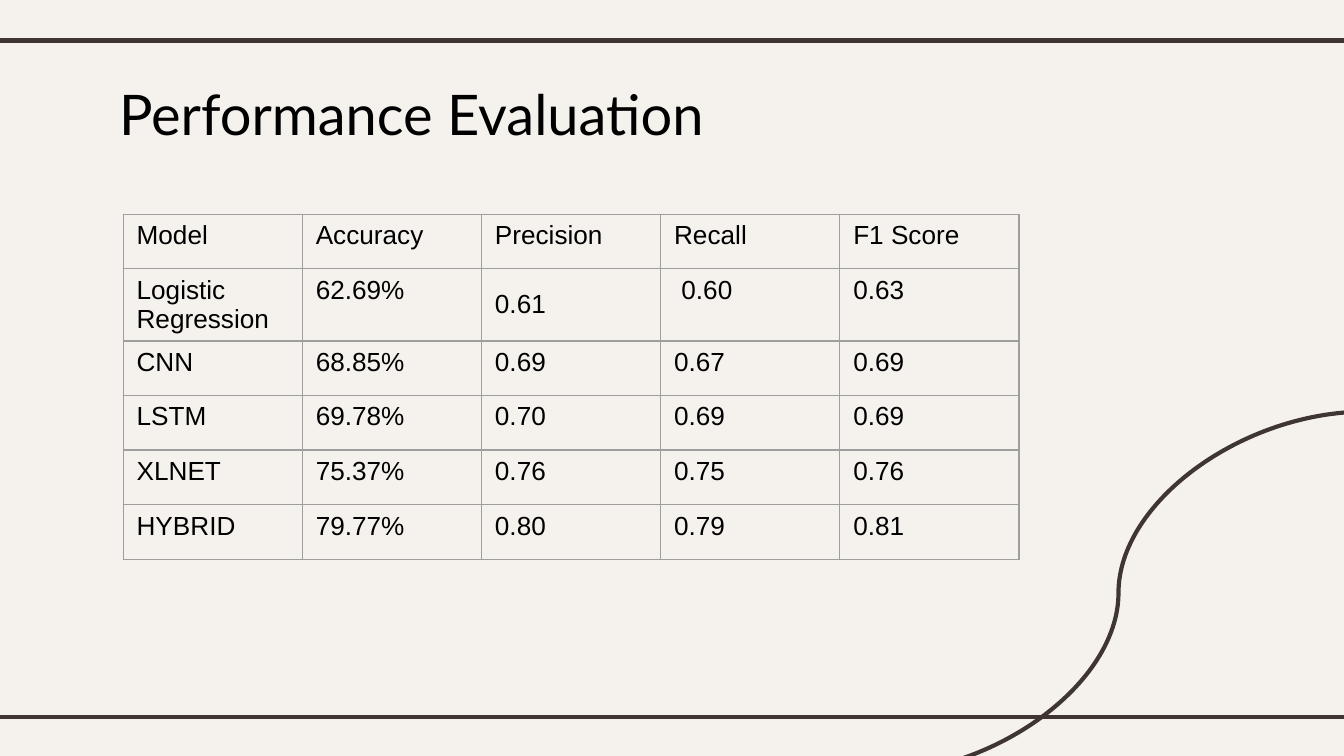
from dataclasses import dataclass

from lxml import etree
from pptx import Presentation
from pptx.dml.color import RGBColor
from pptx.enum.shapes import MSO_CONNECTOR
from pptx.enum.text import MSO_ANCHOR, MSO_AUTO_SIZE, PP_ALIGN
from pptx.oxml.ns import qn
from pptx.util import Emu, Pt

STRAIGHT, CURVE = MSO_CONNECTOR.STRAIGHT, MSO_CONNECTOR.CURVE
TOP, MIDDLE = MSO_ANCHOR.TOP, MSO_ANCHOR.MIDDLE
NO_AUTOFIT = MSO_AUTO_SIZE.NONE
LEFT = PP_ALIGN.LEFT

EMU_PER_PX = 9525
PAGE_WIDTH, PAGE_HEIGHT = 960, 540


@dataclass(frozen=True)
class Theme:
    paper: str = "F5F2EE"
    ink: str = "000000"
    rule: str = "3F3533"
    grid: str = "9E9E9E"
    title_font: str = "Lato"
    body_font: str = "Arial"
    title_size: float = 30
    body_size: float = 14
    rule_width: float = 2.25
    grid_width: float = 0.75


THEME = Theme()

SCORES = [
    ("Model", "Accuracy", "Precision", "Recall", "F1 Score"),
    ("Logistic Regression", "62.69%", "0.61", " 0.60", "0.63"),
    ("CNN", "68.85%", "0.69", "0.67", "0.69"),
    ("LSTM", "69.78%", "0.70", "0.69", "0.69"),
    ("XLNET", "75.37%", "0.76", "0.75", "0.76"),
    ("HYBRID", "79.77%", "0.80", "0.79", "0.81"),
]
MIDDLE_CELLS = {(1, 2)}


def px(length):
    return Emu(length * EMU_PER_PX)


def apply_format(target, values):
    for name, value in values.items():
        setattr(target, name, value)


def write_text(frame, text, font, size):
    para = frame.paragraphs[0]
    para.alignment = LEFT
    span = para.add_run()
    span.text = text
    apply_format(span.font, {"name": font, "size": Pt(size), "bold": False})
    span.font.color.rgb = RGBColor.from_string(THEME.ink)


def add_rule(page, kind, start, end):
    rule = page.shapes.add_connector(kind, *map(px, start + end))
    rule.line.color.rgb = RGBColor.from_string(THEME.rule)
    rule.line.width = Pt(THEME.rule_width)
    etree.SubElement(rule._element.spPr, qn("a:effectLst"))


def set_title(page, text, left, top, width, height):
    title = page.shapes.title
    apply_format(title, {"left": px(left), "top": px(top),
                         "width": px(width), "height": px(height)})
    inset = px(10)
    apply_format(title.text_frame, {
        "margin_left": inset, "margin_right": inset,
        "margin_top": inset, "margin_bottom": inset,
        "vertical_anchor": TOP, "word_wrap": True, "auto_size": NO_AUTOFIT,
    })
    write_text(title.text_frame, text, THEME.title_font, THEME.title_size)


def set_borders(cell):
    properties = cell._tc.get_or_add_tcPr()
    for position, side in enumerate(("lnL", "lnR", "lnT", "lnB")):
        border = etree.Element(qn(f"a:{side}"), w=str(Pt(THEME.grid_width)))
        fill = etree.SubElement(border, qn("a:solidFill"))
        etree.SubElement(fill, qn("a:srgbClr"), val=THEME.grid)
        properties.insert(position, border)


def add_score_table(page, rows, left, top, column_width, row_height):
    row_count, column_count = len(rows), len(rows[0])
    frame = page.shapes.add_table(
        row_count, column_count, px(left), px(top),
        px(column_width * column_count), px(row_height * row_count))
    table = frame.table
    apply_format(table, {"first_row": False, "horz_banding": False})
    for column in table.columns:
        column.width = px(column_width)
    for row_index, row in enumerate(rows):
        table.rows[row_index].height = px(row_height)
        for column_index, text in enumerate(row):
            cell = table.cell(row_index, column_index)
            centred = (row_index, column_index) in MIDDLE_CELLS
            cell.vertical_anchor = MIDDLE if centred else TOP
            cell.fill.background()
            set_borders(cell)
            write_text(cell.text_frame, text, THEME.body_font, THEME.body_size)


def main():
    deck = Presentation()
    apply_format(deck, {"slide_width": px(PAGE_WIDTH),
                        "slide_height": px(PAGE_HEIGHT)})
    page = deck.slides.add_slide(deck.slide_layouts.get_by_name("Title Only"))
    page.background.fill.solid()
    page.background.fill.fore_color.rgb = RGBColor.from_string(THEME.paper)

    for height in (29, 512):
        add_rule(page, STRAIGHT, (-8, height), (PAGE_WIDTH + 8, height))
    add_rule(page, CURVE, (976, 294), (622, 553))
    set_title(page, "Performance Evaluation", 75, 47, 596, 60)
    add_score_table(page, SCORES, 88, 153, 128, 39)
    deck.save("out.pptx")


if __name__ == "__main__":
    main()
